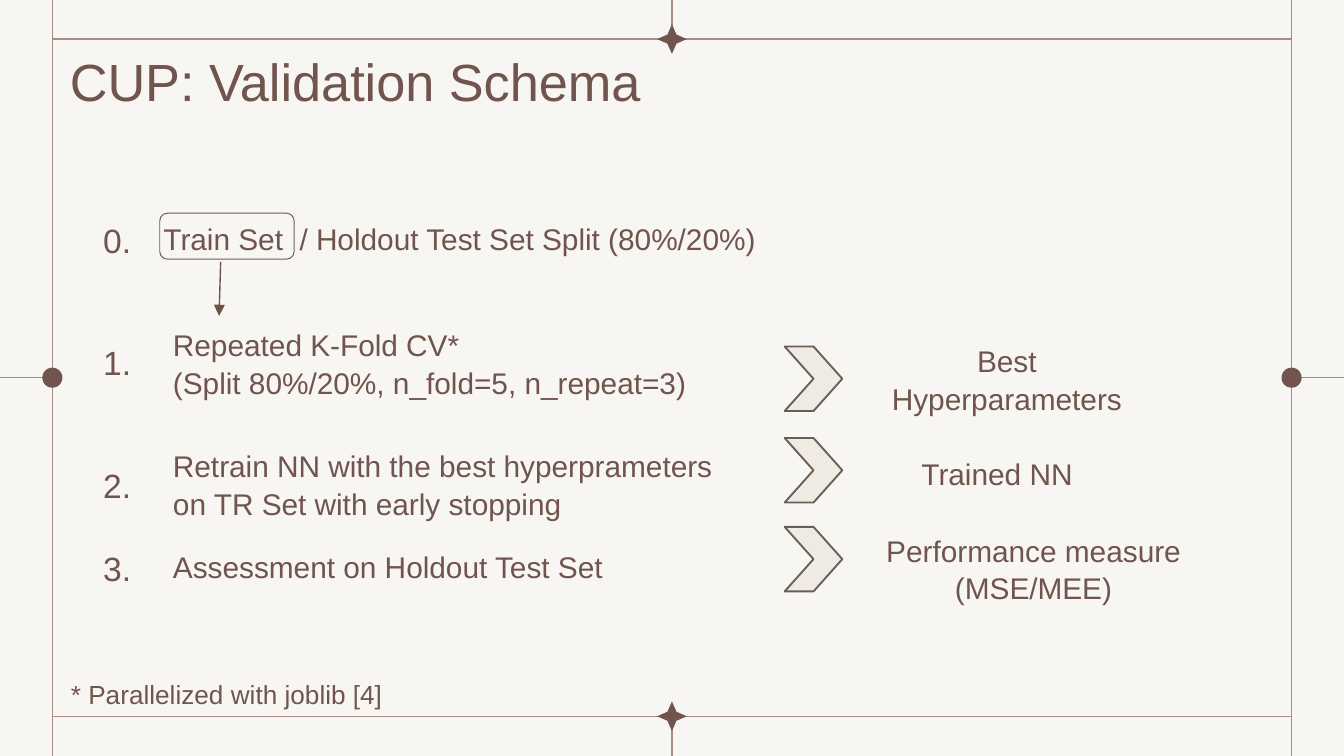
from lxml import etree
from pptx import Presentation
from pptx.dml.color import RGBColor
from pptx.enum.shapes import MSO_CONNECTOR, MSO_SHAPE as SHAPE
from pptx.enum.text import MSO_ANCHOR, MSO_AUTO_SIZE, PP_ALIGN as ALIGN
from pptx.oxml.ns import qn
from pptx.util import Cm, Pt

CREAM = RGBColor(0xF8, 0xF6, 0xF2)
BROWN = RGBColor(0x70, 0x54, 0x4D)
ARROW_BROWN = RGBColor(0x6E, 0x52, 0x4A)
FRAME_TAN = RGBColor(0xA7, 0x8D, 0x84)
OUTLINE = RGBColor(0x6A, 0x5C, 0x58)
CHEVRON_FILL = RGBColor(0xEF, 0xEA, 0xE2)

WIDTH, HEIGHT = 25.4, 14.29
LEFT, RIGHT, TOP, BOTTOM = 0.99, 24.41, 0.74, 13.54
CENTER, MIDDLE = WIDTH / 2, 7.14

presentation = Presentation()
presentation.slide_width, presentation.slide_height = Cm(WIDTH), Cm(HEIGHT)
slide = presentation.slides.add_slide(presentation.slide_layouts[5])
slide.background.fill.solid()
slide.background.fill.fore_color.rgb = CREAM


def add_line(x1, y1, x2, y2, color):
    line = slide.shapes.add_connector(
        MSO_CONNECTOR.STRAIGHT, Cm(x1), Cm(y1), Cm(x2), Cm(y2))
    line.line.color.rgb = color
    line.line.width = Pt(0.75)
    etree.SubElement(line.element.spPr, qn("a:effectLst"))
    return line


def add_text(left, top, width, height, lines, size=16, align=ALIGN.LEFT, gaps=None):
    """Add one paragraph per line; gaps holds the space before each, in points."""
    box = slide.shapes.add_textbox(Cm(left), Cm(top), Cm(width), Cm(height))
    frame = box.text_frame
    frame.word_wrap = True
    frame.auto_size = MSO_AUTO_SIZE.SHAPE_TO_FIT_TEXT
    for index, line in enumerate(lines):
        paragraph = frame.add_paragraph() if index else frame.paragraphs[0]
        paragraph.alignment = align
        paragraph.line_spacing = 1.05
        if gaps:
            paragraph.space_before = Pt(gaps[index])
        run = paragraph.add_run()
        run.text = line
        run.font.name = "Arial"
        run.font.size = Pt(size)
        run.font.color.rgb = BROWN


# Frame lines, with short ticks to the slide edges
for x1, y1, x2, y2 in [
    (LEFT, 0, LEFT, HEIGHT),
    (RIGHT, 0, RIGHT, HEIGHT),
    (LEFT, TOP, RIGHT, TOP),
    (LEFT, BOTTOM, RIGHT, BOTTOM),
    (CENTER, TOP, CENTER, 0),
    (CENTER, HEIGHT, CENTER, BOTTOM),
    (LEFT, MIDDLE, 0, MIDDLE),
    (WIDTH, MIDDLE, RIGHT, MIDDLE),
]:
    add_line(x1, y1, x2, y2, FRAME_TAN)

# Ornaments centred on the frame sides
for kind, x, y, size in [
    (SHAPE.STAR_4_POINT, CENTER, TOP, 0.56),
    (SHAPE.STAR_4_POINT, CENTER, BOTTOM, 0.56),
    (SHAPE.OVAL, LEFT, MIDDLE, 0.38),
    (SHAPE.OVAL, RIGHT, MIDDLE, 0.38),
]:
    ornament = slide.shapes.add_shape(
        kind, Cm(x - size / 2), Cm(y - size / 2), Cm(size), Cm(size))
    ornament.shadow.inherit = False
    ornament.fill.solid()
    ornament.fill.fore_color.rgb = BROWN
    ornament.line.fill.background()
    if kind == SHAPE.STAR_4_POINT:
        ornament.adjustments[0] = 0.216

# Title
title = slide.shapes.title
title.left, title.top, title.width, title.height = Cm(1.07), Cm(0.81), Cm(11.68), Cm(1.42)
frame = title.text_frame
frame.word_wrap = True
frame.auto_size = MSO_AUTO_SIZE.NONE
frame.vertical_anchor = MSO_ANCHOR.MIDDLE
frame.margin_left = frame.margin_right = Cm(0.25)
frame.margin_top = frame.margin_bottom = Cm(0.25)
paragraph = frame.paragraphs[0]
paragraph.alignment = ALIGN.LEFT
run = paragraph.add_run()
run.text = "CUP: Validation Schema"
run.font.name = "Arial"
run.font.size = Pt(28)
run.font.color.rgb = BROWN

# Steps and their numbers
add_text(2.84, 4.01, 13.34, 0.94, ["Train Set  / Holdout Test Set Split (80%/20%)"])
add_text(3.02, 6.02, 13.31, 1.63,
         ["Repeated K-Fold CV*", "(Split 80%/20%, n_fold=5, n_repeat=3)"])
add_text(3.02, 8.31, 11.18, 1.63,
         ["Retrain NN with the best hyperprameters on TR Set with early stopping"])
add_text(3.02, 10.21, 9.55, 0.94, ["Assessment on Holdout Test Set"])
add_text(1.7, 3.99, 1.7, 7.19, ["0.", "1.", "2.", "3."], size=18,
         gaps=[0, 43.1, 43.1, 21.5])
add_text(1.09, 12.67, 7.34, 0.86, ["* Parallelized with joblib [4]"], size=14)

# Train set highlight and its arrow to the cross-validation step
highlight = slide.shapes.add_shape(
    SHAPE.ROUNDED_RECTANGLE, Cm(3.02), Cm(4.03), Cm(2.54), Cm(0.87))
highlight.shadow.inherit = False
highlight.fill.background()
highlight.line.color.rgb = OUTLINE
highlight.line.width = Pt(0.5)
arrow = add_line(4.17, 4.95, 4.14, 5.97, ARROW_BROWN)
etree.SubElement(arrow.line._get_or_add_ln(), qn("a:tailEnd"), type="triangle")

# Chevrons and the result of each step
for top in (6.55, 8.28, 9.96):
    chevron = slide.shapes.add_shape(SHAPE.CHEVRON, Cm(14.83), Cm(top), Cm(1.09), Cm(1.22))
    chevron.shadow.inherit = False
    chevron.fill.solid()
    chevron.fill.fore_color.rgb = CHEVRON_FILL
    chevron.line.color.rgb = OUTLINE
    chevron.line.width = Pt(1)

for left, top, width, height, lines in [
    (16.31, 6.32, 5.44, 1.63, ["Best", "Hyperparameters"]),
    (16.66, 8.46, 4.37, 0.94, ["Trained NN"]),
    (16.31, 9.91, 6.45, 1.63, ["Performance measure", "(MSE/MEE)"]),
]:
    add_text(left, top, width, height, lines, align=ALIGN.CENTER)

presentation.save("out.pptx")
